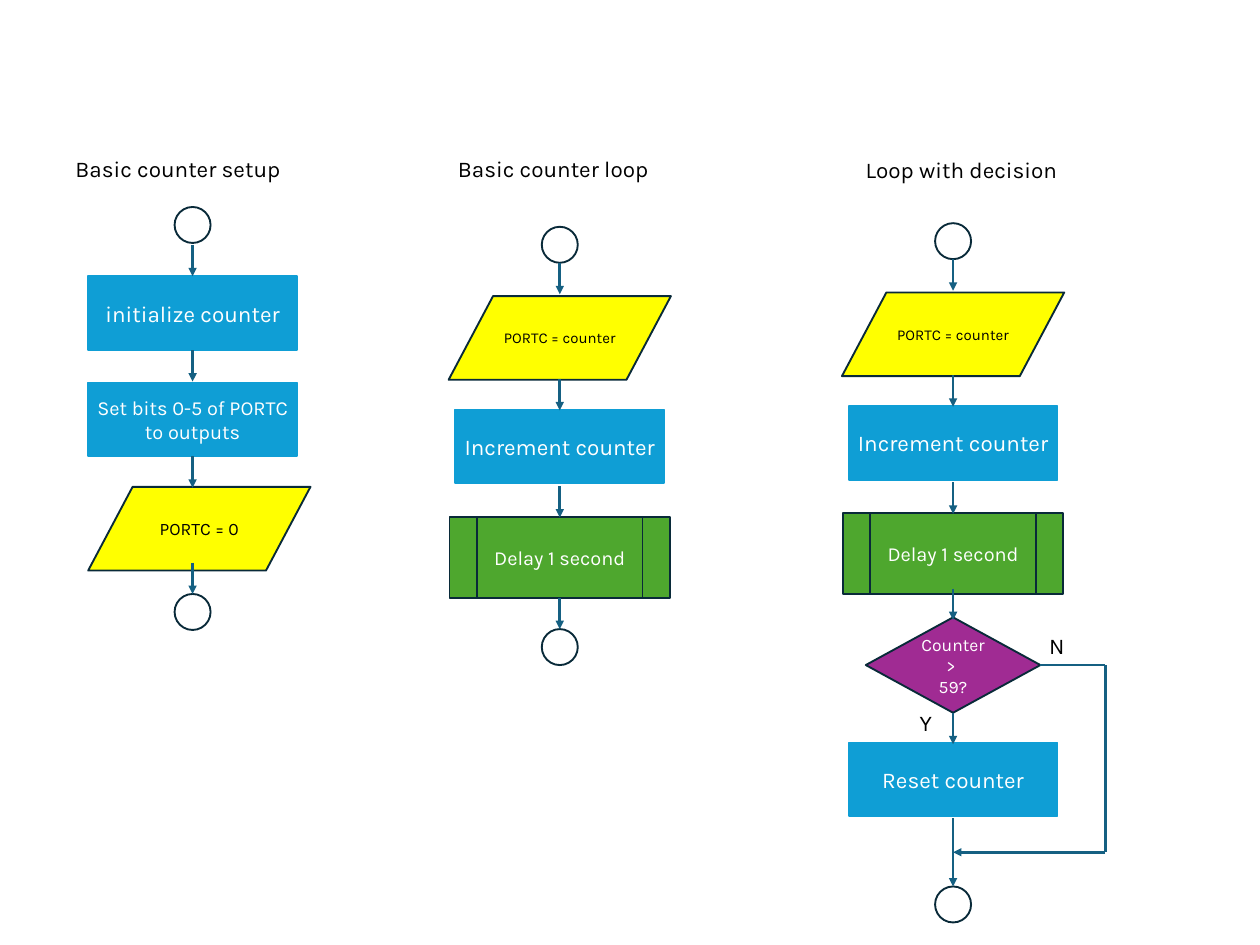
"""Build a slide with three flowcharts for a binary counter."""
from lxml.etree import SubElement
from pptx import Presentation
from pptx.dml.color import RGBColor
from pptx.enum.shapes import MSO_CONNECTOR, MSO_SHAPE as SHAPE
from pptx.enum.text import MSO_ANCHOR, MSO_AUTO_SIZE, PP_ALIGN
from pptx.oxml.ns import qn
from pptx.util import Inches, Pt

FONT = "Karla"
WHITE = RGBColor(0xFF, 0xFF, 0xFF)
BLACK = RGBColor(0x00, 0x00, 0x00)
BLUE = RGBColor(0x0F, 0x9E, 0xD5)
YELLOW = RGBColor(0xFF, 0xFF, 0x00)
GREEN = RGBColor(0x4E, 0xA7, 0x2E)
PURPLE = RGBColor(0xA0, 0x2B, 0x93)
OUTLINE = RGBColor(0x09, 0x2A, 0x39)
FLOW = RGBColor(0x15, 0x60, 0x82)

STEPS = {
    "terminal": (SHAPE.FLOWCHART_CONNECTOR, 0.4, 0.4, WHITE, OUTLINE, BLACK),
    "process": (SHAPE.FLOWCHART_PROCESS, 2.32, 0.82, BLUE, BLUE, WHITE),
    "output": (SHAPE.FLOWCHART_DATA, 2.47, 0.93, YELLOW, OUTLINE, BLACK),
    "delay": (SHAPE.FLOWCHART_PREDEFINED_PROCESS, 2.45, 0.9, GREEN, OUTLINE, WHITE),
    "decision": (SHAPE.FLOWCHART_DECISION, 1.94, 1.06, PURPLE, OUTLINE, WHITE),
}

prs = Presentation()
prs.slide_width, prs.slide_height = Inches(14), Inches(10.5)
slide = prs.slides.add_slide(prs.slide_layouts[6])


def add_step(kind, center, top, text="", size=18):
    preset, width, height, fill, outline, ink = STEPS[kind]
    step = slide.shapes.add_shape(
        preset, Inches(center - width / 2), Inches(top), Inches(width), Inches(height))
    step.shadow.inherit = False
    step.fill.solid()
    step.fill.fore_color.rgb = fill
    step.line.color.rgb = outline
    step.line.width = Pt(1.5)
    if text:
        step.text_frame.text = text
        step.text_frame.vertical_anchor = MSO_ANCHOR.MIDDLE
    for paragraph in step.text_frame.paragraphs:
        paragraph.alignment = PP_ALIGN.CENTER
        paragraph.font.name = FONT
        paragraph.font.size = Pt(size)
        paragraph.font.color.rgb = ink


def add_flow(x1, y1, x2, y2, arrow=True):
    flow = slide.shapes.add_connector(
        MSO_CONNECTOR.STRAIGHT, Inches(x1), Inches(y1), Inches(x2), Inches(y2))
    flow.line.color.rgb = FLOW
    flow.line.width = Pt(2.25)
    if arrow:
        SubElement(flow.line._get_or_add_ln(), qn("a:tailEnd"), type="triangle")
    SubElement(flow._element.spPr, qn("a:effectLst"))


SETUP, LOOP, BRANCH = 2.14, 6.22, 10.59
RETURN, DECIDE, MERGE = 12.28, 7.39, 9.47
GAP = 0.35

add_step("terminal", SETUP, 2.3)
add_step("process", SETUP, 3.07, "initialize counter")
add_step("process", SETUP, 4.25, "Set bits 0-5 of PORTC to outputs", 16)
add_step("output", SETUP + 0.075, 5.41, "PORTC = 0", 14)
add_step("terminal", SETUP, 6.6)
for start in (2.72, 3.89, 5.07, 6.25):
    add_flow(SETUP, start, SETUP, start + GAP)

for center, top in ((LOOP, 2.52), (BRANCH, 2.48)):
    add_step("terminal", center, top)
    add_step("output", center, top + 0.77, "PORTC = counter", 12)
    add_step("process", center, top + 2.03, "Increment counter")
    add_step("delay", center, top + 3.22, "Delay 1 second", 16)
    for offset in (0.4, 1.69, 2.88):
        add_flow(center, top + offset, center, top + offset + GAP)

add_step("terminal", LOOP, 6.99)
add_flow(LOOP, 6.64, LOOP, 6.99)

add_step("decision", BRANCH, 6.86, "Counter> \n59?", 14)
add_step("process", BRANCH, 8.25, "Reset counter")
add_step("terminal", BRANCH, 9.85)
for start, end in ((6.54, 6.89), (7.92, 8.27), (9.09, 9.85)):
    add_flow(BRANCH, start, BRANCH, end)
add_flow(11.56, DECIDE, RETURN, DECIDE, arrow=False)
add_flow(RETURN, DECIDE, RETURN, MERGE, arrow=False)
add_flow(RETURN, MERGE, BRANCH, MERGE)

for text, left, top, width, height in (
    ("Basic counter setup", 0.74, 1.67, 2.76, 0.46),
    ("Basic counter loop", 4.99, 1.67, 2.6, 0.46),
    ("Loop with decision", 9.52, 1.68, 2.6, 0.46),
    ("Y", 10.12, 7.83, 0.34, 0.4),
    ("N", 11.56, 6.97, 0.38, 0.4),
):
    label = slide.shapes.add_textbox(
        Inches(left), Inches(top), Inches(width), Inches(height)).text_frame
    label.word_wrap = False
    label.auto_size = MSO_AUTO_SIZE.SHAPE_TO_FIT_TEXT
    label.text = text
    font = label.paragraphs[0].font
    font.name = FONT
    font.size = Pt(18)
    font.color.rgb = BLACK

prs.save("out.pptx")
